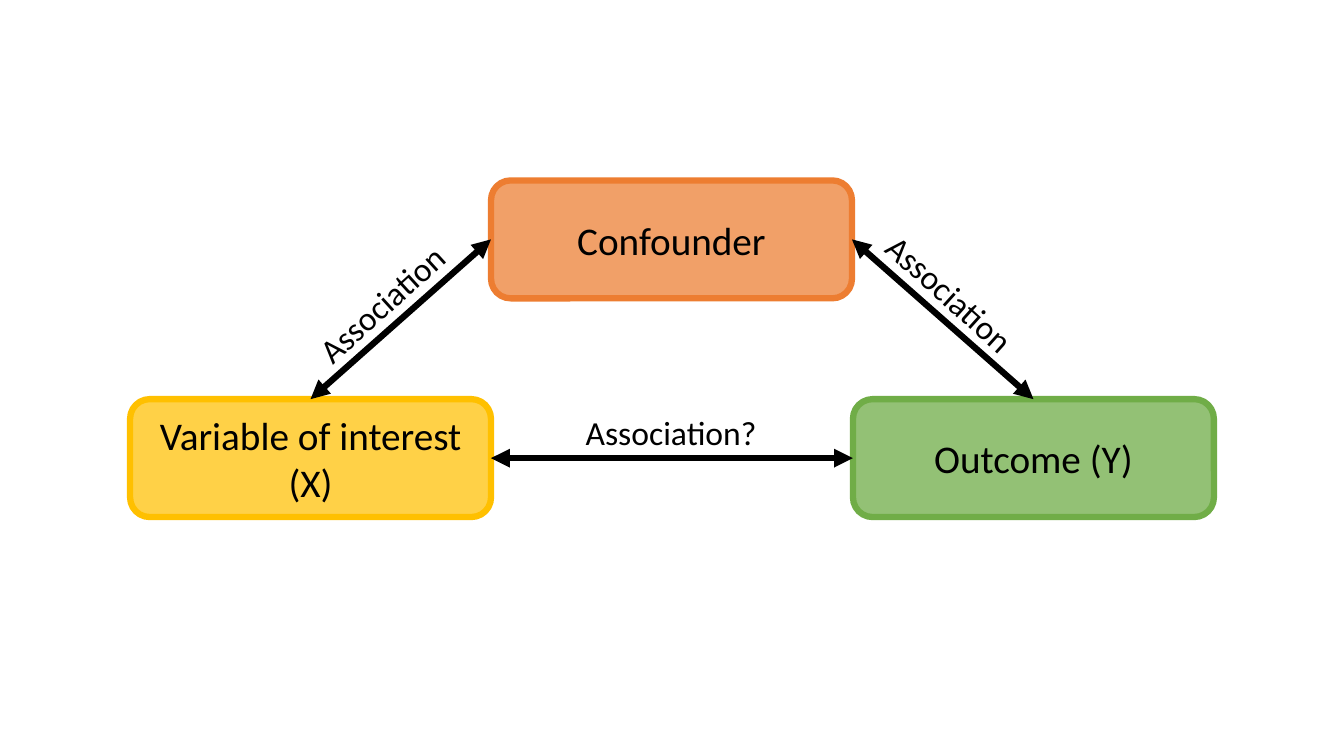
from pptx import Presentation
from pptx.dml.color import RGBColor
from pptx.enum.shapes import MSO_CONNECTOR as Line, MSO_SHAPE as Shape
from pptx.enum.text import MSO_ANCHOR as Anchor, MSO_AUTO_SIZE as AutoSize, PP_ALIGN as Align
from pptx.oxml.ns import qn
from pptx.util import Emu, Pt
from lxml.etree import SubElement

PX = 9144  # EMU per px, 100 px to the inch
TOP, LEFT, BOTTOM, RIGHT = range(4)


def px(*lengths):
    return [Emu(length * PX) for length in lengths]


def color(code):
    return RGBColor.from_string(code)


def apply(target, values):
    for name, value in values.items():
        setattr(target, name, value)


class Diagram:
    font = "Calibri"
    ink = "000000"
    stroke = Pt(4.5)

    def __init__(self, page):
        self.shapes = page.shapes.add_group_shape().shapes

    def add_text(self, frame, text, size, align):
        para = frame.paragraphs[0]
        para.alignment = align
        span = para.add_run()
        span.text = text
        apply(span.font, {"name": self.font, "size": Pt(size)})
        span.font.color.rgb = color(self.ink)

    def box(self, text, left, top, tint, opacity):
        box = self.shapes.add_shape(Shape.ROUNDED_RECTANGLE, *px(left, top, 358, 117))
        box.shadow.inherit = False
        box.fill.solid()
        box.fill.fore_color.rgb = color(tint)
        tint_xml = box._element.spPr.find(qn("a:solidFill"))[0]
        SubElement(tint_xml, qn("a:alpha"), val=str(opacity * 1000))
        box.line.color.rgb = color(tint)
        box.line.width = self.stroke
        apply(box.text_frame, {"word_wrap": True, "vertical_anchor": Anchor.MIDDLE})
        self.add_text(box.text_frame, text, 28, Align.CENTER)
        return box

    def arrow(self, start, start_side, end, end_side):
        arrow = self.shapes.add_connector(Line.STRAIGHT, start.left, start.top, end.left, end.top)
        arrow.begin_connect(start, start_side)
        arrow.end_connect(end, end_side)
        arrow.line.color.rgb = color(self.ink)
        arrow.line.width = self.stroke
        outline = arrow._element.spPr.find(qn("a:ln"))
        for tip in ("a:headEnd", "a:tailEnd"):
            SubElement(outline, qn(tip), type="triangle")
        SubElement(arrow._element.spPr, qn("a:effectLst"))

    def label(self, text, left, top, rotation=0):
        label = self.shapes.add_textbox(*px(left, top, 192, 50))
        label.rotation = rotation
        apply(label.text_frame, {"word_wrap": True, "auto_size": AutoSize.SHAPE_TO_FIT_TEXT})
        self.add_text(label.text_frame, text, 24, Align.LEFT)


def main():
    deck = Presentation()
    deck.slide_width, deck.slide_height = px(1333, 750)
    diagram = Diagram(deck.slides.add_slide(deck.slide_layouts[6]))

    # Variables
    variable = diagram.box("Variable of interest (X)", 129, 396, "FFC000", 72)
    outcome = diagram.box("Outcome (Y)", 846, 396, "70AD47", 75)
    confounder = diagram.box("Confounder", 487, 179, "ED7D31", 73)

    # Relations
    diagram.arrow(variable, RIGHT, outcome, LEFT)
    diagram.arrow(variable, TOP, confounder, LEFT)
    diagram.arrow(outcome, TOP, confounder, RIGHT)

    # Relation labels
    diagram.label("Association", 289, 270, -42.3)
    diagram.label("Association", 853, 272, 42)
    diagram.label("Association?", 571, 404)

    deck.save("out.pptx")


if __name__ == "__main__":
    main()
